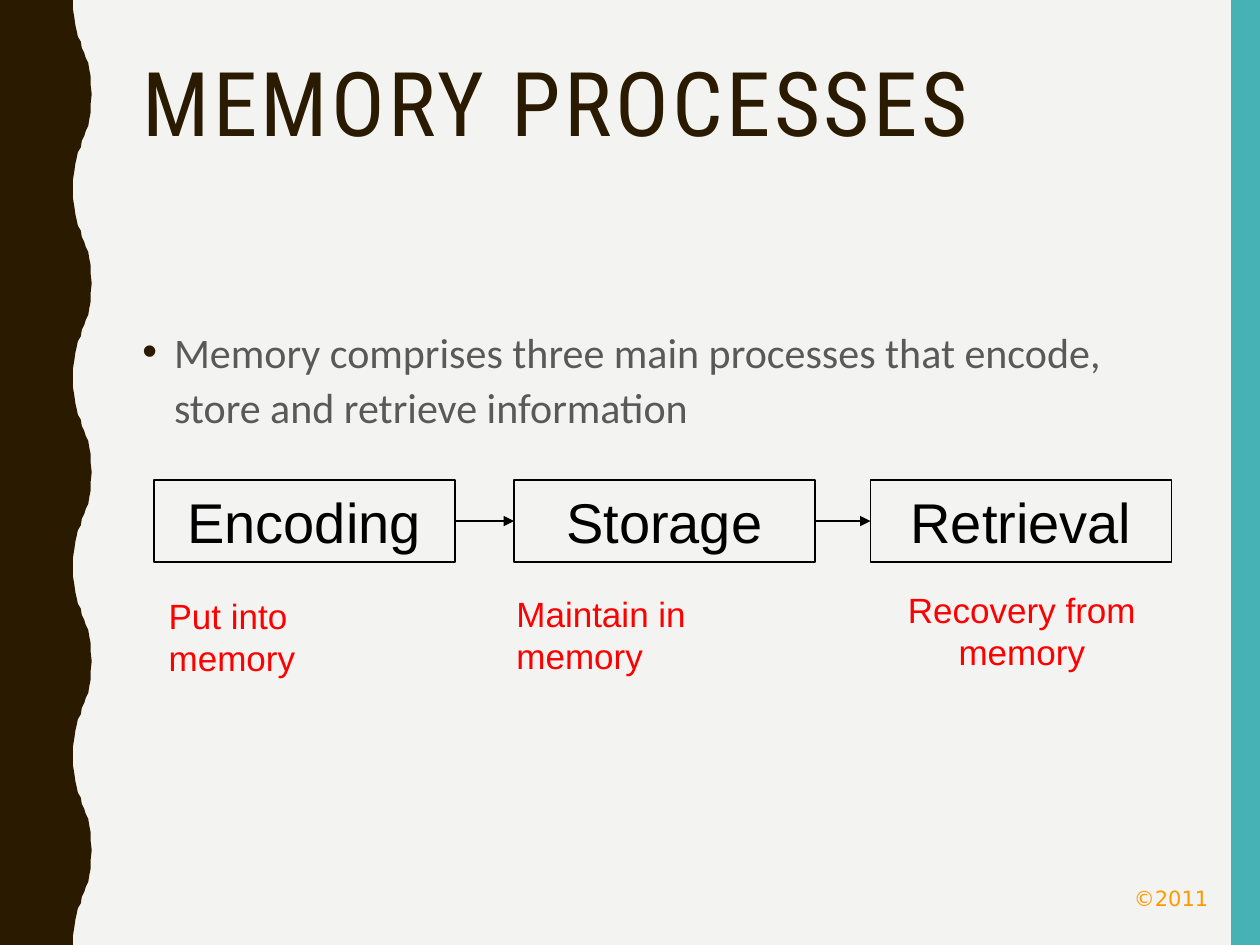
from lxml import etree
from pptx import Presentation
from pptx.dml.color import RGBColor
from pptx.enum.shapes import MSO_CONNECTOR, MSO_SHAPE
from pptx.enum.text import MSO_ANCHOR, PP_ALIGN
from pptx.oxml.ns import qn
from pptx.util import Cm, Pt

RECTANGLE = MSO_SHAPE.RECTANGLE
STRAIGHT = MSO_CONNECTOR.STRAIGHT
TOP, MIDDLE = MSO_ANCHOR.TOP, MSO_ANCHOR.MIDDLE
LEFT, CENTER, RIGHT = PP_ALIGN.LEFT, PP_ALIGN.CENTER, PP_ALIGN.RIGHT

COLORS = {
    "paper": "F3F3F2", "brown": "2A1A00", "teal": "46B2B5", "orange": "FF9900",
    "gray": "595959", "black": "000000", "red": "FF0000",
}


class ProcessSlide:
    """Draws the styled elements of one slide."""

    def __init__(self, slide):
        self.slide = slide
        self.shapes = slide.shapes
        self.paint(slide.background.fill, "paper")

    def paint(self, fill, color):
        fill.solid()
        fill.fore_color.rgb = RGBColor.from_string(COLORS[color])

    def outline(self, line, width):
        self.paint(line.fill, "black")
        line.width = Pt(width)

    def fill_text(self, frame, lines, font, size, color, align, anchor=TOP):
        frame.word_wrap = True
        frame.vertical_anchor = anchor
        frame.text = "\n".join(lines)
        for paragraph in frame.paragraphs:
            paragraph.alignment = align
            paragraph.font.name = font
            paragraph.font.size = Pt(size)
            paragraph.font.color.rgb = RGBColor.from_string(COLORS[color])

    def text(self, box, lines, font, size, color, align=LEFT, right_inset=0.25):
        frame = self.shapes.add_textbox(*map(Cm, box)).text_frame
        frame.margin_right = Cm(right_inset)
        self.fill_text(frame, lines, font, size, color, align)
        return frame.paragraphs[0]

    def title(self, box, wording):
        paragraph = self.text(box, [wording], "Roboto Condensed", 51, "brown")
        paragraph.line_spacing = 0.9
        paragraph.runs[0].font._element.set("spc", "200")

    def bullet(self, box, wording):
        paragraph = self.text(box, [wording], "Calibri", 24, "gray")
        paragraph.line_spacing = 1.1
        paragraph.space_before = Pt(7)
        properties = paragraph._p.get_or_add_pPr()
        properties.set("marL", str(Cm(0.64)))
        properties.set("indent", str(-Cm(0.64)))
        bullet_color = etree.Element(qn("a:buClr"))
        etree.SubElement(bullet_color, qn("a:srgbClr"), val=COLORS["brown"])
        bullet_font = etree.Element(qn("a:buFont"), typeface="Arial")
        bullet_sign = etree.Element(qn("a:buChar"), char="•")
        position = properties.index(properties.find(qn("a:defRPr")))
        properties[position:position] = [bullet_color, bullet_font, bullet_sign]

    def band(self, box, color):
        band = self.shapes.add_shape(RECTANGLE, *map(Cm, box))
        band.shadow.inherit = False
        self.paint(band.fill, color)
        band.line.fill.background()

    def wave(self, points, color):
        builder = self.shapes.build_freeform(*points[0], scale=Cm(0.01))
        builder.add_line_segments(points[1:], close=True)
        wave = builder.convert_to_shape()
        wave.shadow.inherit = False
        self.paint(wave.fill, color)
        wave.line.fill.background()

    def stage(self, box, name):
        stage = self.shapes.add_shape(RECTANGLE, *map(Cm, box))
        stage.shadow.inherit = False
        stage.fill.background()
        self.outline(stage.line, 1)
        self.fill_text(stage.text_frame, [name], "Arial", 32, "black", CENTER, MIDDLE)

    def arrow(self, start, end, y):
        arrow = self.shapes.add_connector(STRAIGHT, Cm(start), Cm(y), Cm(end), Cm(y))
        self.outline(arrow.line, 0.75)
        etree.SubElement(arrow.line._get_or_add_ln(), qn("a:tailEnd"), type="triangle")
        etree.SubElement(arrow._element.spPr, qn("a:effectLst"))


presentation = Presentation()
presentation.slide_width, presentation.slide_height = Cm(25.4), Cm(19.05)
page = ProcessSlide(presentation.slides.add_slide(presentation.slide_layouts[6]))

PERIOD, WAVES = 381, 5
rise = [(147, 0), (147, 18), (150, 36), (152, 51), (155, 64), (157, 74), (163, 84),
        (165, 97), (170, 107), (173, 117), (178, 127), (180, 140), (183, 155),
        (183, 173), (185, 190)]
crest = rise + [(x, PERIOD - y) for x, y in reversed(rise[1:-1])]
edge = [(x, y + PERIOD * wave) for wave in range(WAVES) for x, y in crest]
bottom = PERIOD * WAVES
page.wave([(0, 0), *edge, (147, bottom), (0, bottom)], "brown")
page.band((24.82, 0, 0.58, 19.05), "teal")

page.text((18.69, 17.73, 5.92, 1.32), ["©2011"], "DejaVu Sans", 12, "orange", RIGHT)
page.title((2.62, 1.07, 21.21, 4.14), "MEMORY PROCESSES")
page.bullet((2.62, 6.35, 21.21, 9.98),
            "Memory comprises three main processes that encode, "
            "store and retrieve information")

STAGE_TOP, STAGE_WIDTH, STAGE_HEIGHT = 9.68, 6.07, 1.65
stages = [("Encoding", 3.1), ("Storage", 10.36), ("Retrieval", 17.55)]
for name, left in stages:
    page.stage((left, STAGE_TOP, STAGE_WIDTH, STAGE_HEIGHT), name)
for (_, left), (_, next_left) in zip(stages, stages[1:]):
    page.arrow(left + STAGE_WIDTH, next_left, STAGE_TOP + STAGE_HEIGHT / 2)

meanings = [
    ((3.15, 11.86, 5.64, 1.96), ["Put into memory"], LEFT, 1),
    ((10.16, 11.81, 6.65, 1.96), ["Maintain in memory"], LEFT, 1),
    ((17.96, 11.73, 5.28, 1.96), ["Recovery from ", "memory"], CENTER, 0.25),
]
for box, lines, align, right_inset in meanings:
    page.text(box, lines, "Arial", 20, "red", align, right_inset)

presentation.save("out.pptx")
